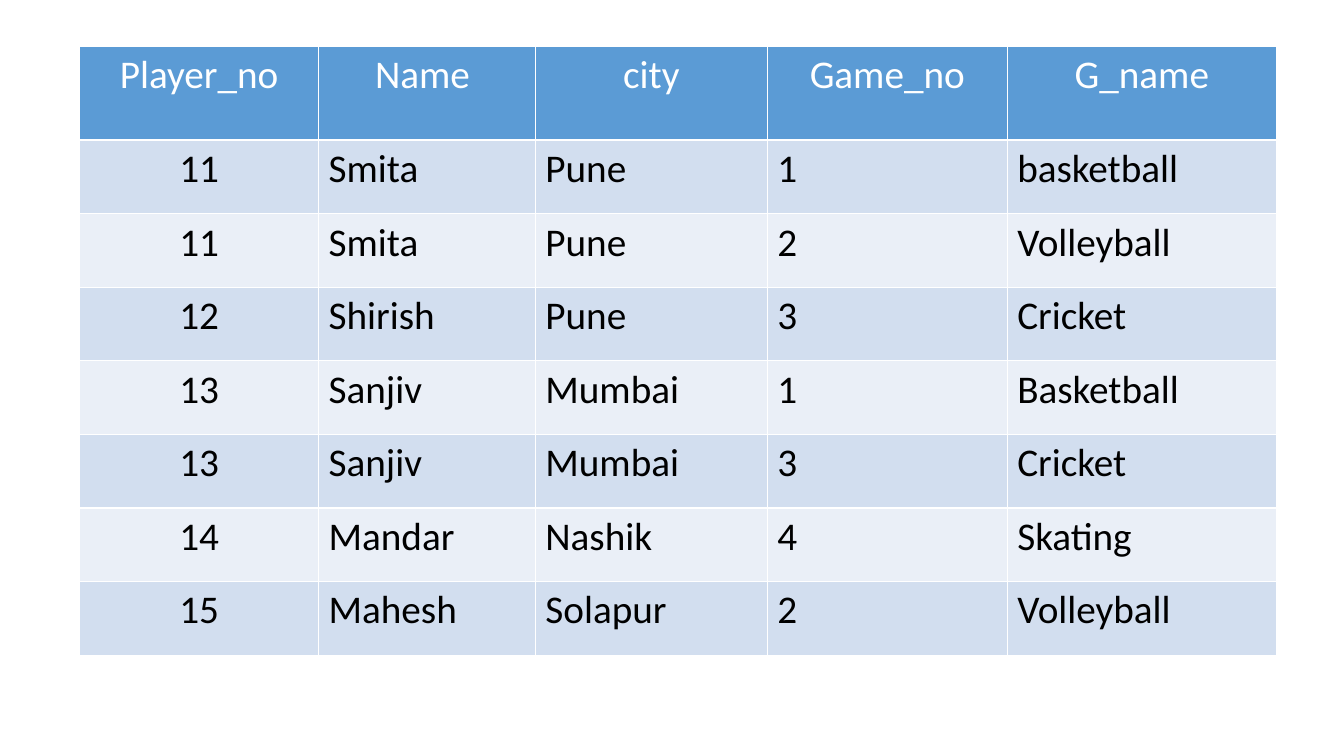
import pptx
import pptx.dml.color
import pptx.enum.text
import pptx.util

Inches = pptx.util.Inches
ALIGN = pptx.enum.text.PP_ALIGN

HEADINGS = ("Player_no", "Name ", "city", "Game_no", "G_name")
PLAYERS = [
    ("11", "Smita", "Pune", "1", "basketball"),
    ("11", "Smita", "Pune", "2", "Volleyball"),
    ("12", "Shirish", "Pune", "3", "Cricket"),
    ("13", "Sanjiv", "Mumbai", "1", "Basketball"),
    ("13", "Sanjiv", "Mumbai", "3", "Cricket"),
    ("14", "Mandar", "Nashik", "4", "Skating"),
    ("15", "Mahesh", "Solapur", "2", "Volleyball"),
]

LEFT, TOP = 0.79, 0.46
COLUMN_WIDTHS = (2.37, 2.15, 2.3, 2.38, 2.67)
HEADING_HEIGHT, PLAYER_HEIGHT = 0.93, 0.73

THEME = {
    "font": "Calibri",
    "size": 28,
    "heading_fill": "5B9BD5",
    "heading_text": "FFFFFF",
    "bands": ("D2DEEF", "EAEFF7"),
    "body_text": "000000",
}


def rgb(value):
    """Turn a hex string into a colour."""
    return pptx.dml.color.RGBColor.from_string(value)


def fill_cell(cell, text, fill, color, alignment):
    """Write one table cell with its fill, text colour and alignment."""
    cell.fill.solid()
    cell.fill.fore_color.rgb = rgb(fill)
    cell.text_frame.text = text
    paragraph = cell.text_frame.paragraphs[0]
    paragraph.alignment = alignment
    for span in paragraph.runs:
        span.font.name = THEME["font"]
        span.font.size = pptx.util.Pt(THEME["size"])
        span.font.bold = False
        span.font.color.rgb = rgb(color)


def add_player_table(page):
    """Add the table of players; its default style draws the white rules."""
    rows = [HEADINGS] + PLAYERS
    heights = [HEADING_HEIGHT] + [PLAYER_HEIGHT] * len(PLAYERS)
    table = page.shapes.add_table(
        len(rows), len(HEADINGS), Inches(LEFT), Inches(TOP),
        Inches(sum(COLUMN_WIDTHS)), Inches(sum(heights))).table
    for column, width in zip(table.columns, COLUMN_WIDTHS):
        column.width = Inches(width)
    for row, height in zip(table.rows, heights):
        row.height = Inches(height)

    for row_index, values in enumerate(rows):
        heading = row_index == 0
        fill = THEME["heading_fill"] if heading else THEME["bands"][(row_index - 1) % 2]
        color = THEME["heading_text" if heading else "body_text"]
        for column_index, text in enumerate(values):
            centred = heading or column_index == 0
            fill_cell(table.cell(row_index, column_index), text, fill, color,
                      ALIGN.CENTER if centred else ALIGN.LEFT)


def main():
    """Build the deck and save it."""
    deck = pptx.Presentation()
    deck.slide_width, deck.slide_height = Inches(13.33), Inches(7.5)
    page = deck.slides.add_slide(deck.slide_layouts[6])
    add_player_table(page)
    deck.save("out.pptx")


main()
